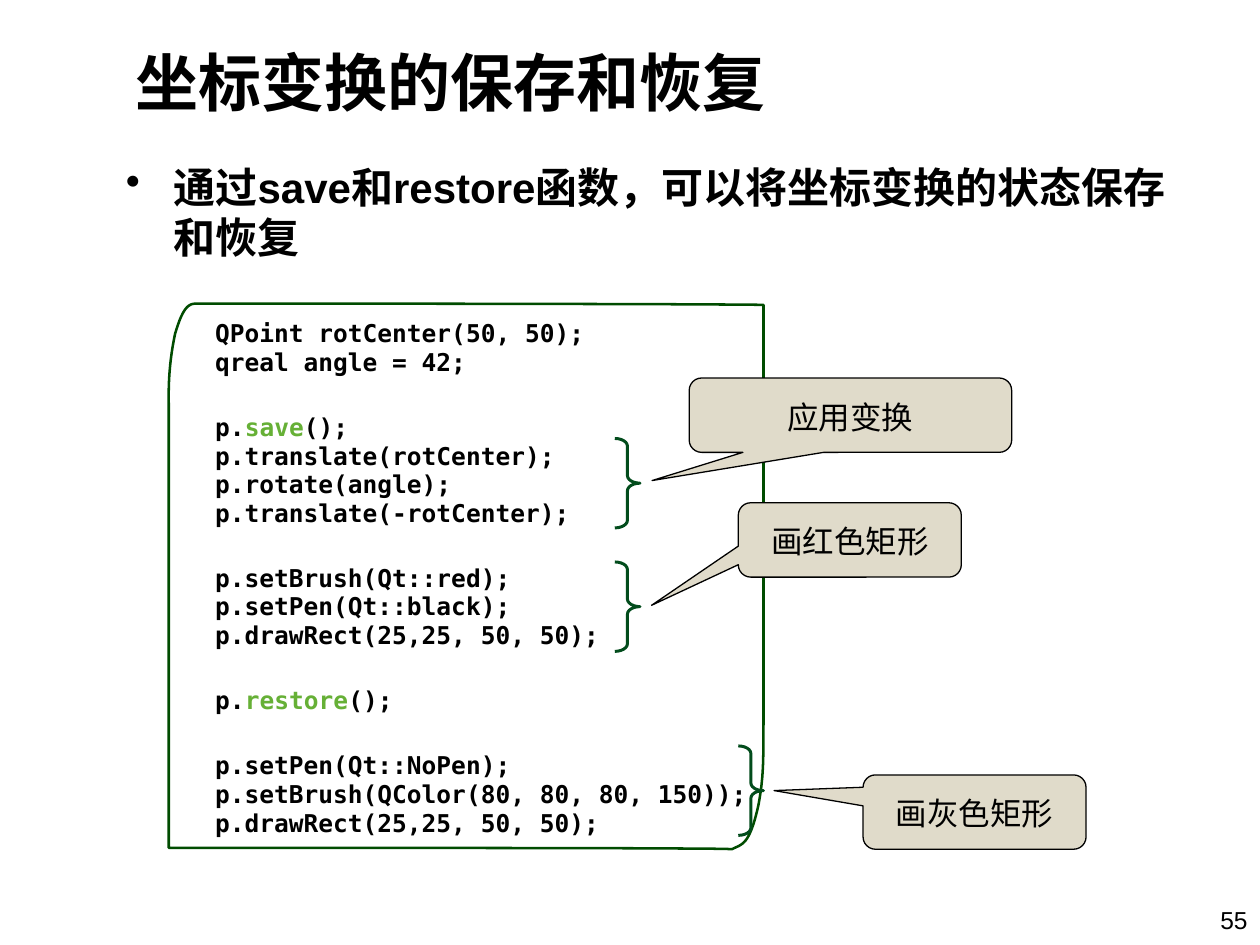
from lxml import etree
from pptx import Presentation
from pptx.dml.color import RGBColor
from pptx.enum.shapes import MSO_SHAPE
from pptx.enum.text import MSO_ANCHOR, PP_ALIGN
from pptx.oxml.ns import qn
from pptx.util import Inches, Pt

BRACE = MSO_SHAPE.RIGHT_BRACE
CALLOUT = MSO_SHAPE.ROUNDED_RECTANGULAR_CALLOUT
TOP, MIDDLE = MSO_ANCHOR.TOP, MSO_ANCHOR.MIDDLE
LEFT, CENTER, RIGHT = PP_ALIGN.LEFT, PP_ALIGN.CENTER, PP_ALIGN.RIGHT

WIDTH, HEIGHT = Inches(10), Inches(7.5)
COL, ROW = WIDTH / 100, HEIGHT / 75
BLACK, KEYWORD, OUTLINE, BRACKET, SAND = "000000", "66B036", "004C00", "024C1C", "E0DBCA"

CODE_BLOCKS = [
    ["QPoint rotCenter(50, 50);", "qreal angle = 42;"],
    ["p.save();", "p.translate(rotCenter);", "p.rotate(angle);", "p.translate(-rotCenter);"],
    ["p.setBrush(Qt::red);", "p.setPen(Qt::black);", "p.drawRect(25,25, 50, 50);"],
    ["p.restore();"],
    ["p.setPen(Qt::NoPen);", "p.setBrush(QColor(80, 80, 80, 150));", "p.drawRect(25,25, 50, 50);"],
]
KEYWORDS = ("save", "restore")

OUTLINE_START = (2.4, 0)
OUTLINE_CURVES = [
    [(2.4, 0), (38.7, 0), (47.3, 0.1)],
    [(47.3, 3.2), (47.3, 30.2), (47.3, 33.4)],
    [(47.3, 36.3), (47.3, 37.7), (46.9, 39.8)],
    [(46.2, 43), (45.6, 42.9), (44.8, 43.3)],
    [(43.9, 43.2), (15, 43.2), (0.1, 43.2)],
    [(0.1, 36.8), (0.1, 8.8), (0.1, 8.1)],
    [(0.1, 7.4), (0, 5.2), (0.6, 2.4)],
    [(1.3, 0), (1.8, 0), (2.4, 0)],
]

NOTES = [
    ("应用变换", (35.5, 10.7), (41.4, 5.9, 25.6), (-0.615, 0.879)),
    ("画红色矩形", (35.5, 20.5), (45.3, 15.8, 17.7), (-0.889, 0.879)),
    ("画灰色矩形", (45.3, 35.1), (55.2, 37.4, 17.7), (-0.899, -0.289)),
]


def color(value):
    return RGBColor.from_string(value)


def place(box):
    left, top, width, height = box
    return round(left * COL), round(top * ROW), round(width * COL), round(height * ROW)


def style(paragraph, size, bold=False, font="Arial", align=LEFT):
    paragraph.alignment = align
    paragraph.font.size = Pt(size)
    paragraph.font.bold = bold
    paragraph.font.name = font
    paragraph.font.color.rgb = color(BLACK)


def add_text(slide, box, text, size, bold=False, align=LEFT, anchor=TOP):
    frame = slide.shapes.add_textbox(*place(box)).text_frame
    frame.word_wrap = True
    frame.vertical_anchor = anchor
    frame.text = text
    style(frame.paragraphs[0], size, bold, align=align)
    return frame.paragraphs[0]


def add_point(slide, box):
    point = add_text(slide, box, "通过save和restore函数，可以将坐标变换的状态保存和恢复", 24, True)
    properties = point._p.get_or_add_pPr()
    properties.set("marL", str(Inches(0.38)))
    properties.set("indent", str(-Inches(0.38)))
    bullet = etree.Element(qn("a:buChar"), char="•")
    properties.insert_element_before(bullet, "a:tabLst", "a:defRPr", "a:extLst")


def bezier(start, first, second, end, steps=16):
    for step in range(1, steps + 1):
        t = step / steps
        u = 1 - t
        yield tuple(
            u**3 * a + 3 * u * u * t * b + 3 * u * t * t * c + t**3 * d
            for a, b, c, d in zip(start, first, second, end)
        )


def add_outline(slide, box):
    points = [OUTLINE_START]
    for curve in OUTLINE_CURVES:
        points += list(bezier(points[-1], *curve))
    corners = [place((box[0] + x, box[1] + y, 0, 0))[:2] for x, y in points]
    builder = slide.shapes.build_freeform(*corners[0])
    builder.add_line_segments(corners[1:], close=True)
    page = builder.convert_to_shape()
    page.shadow.inherit = False
    page.fill.background()
    page.line.color.rgb = color(OUTLINE)
    page.line.width = Pt(1.45)


def add_code(slide, box):
    left, top, width, height = box
    code_box = (left - 1.9, top + 0.8, width + 3.3, height - 1.1)
    frame = slide.shapes.add_textbox(*place(code_box)).text_frame
    frame.word_wrap = True
    paragraph = frame.paragraphs[0]
    for block_index, block in enumerate(CODE_BLOCKS):
        for line_index, line in enumerate(block):
            if block_index or line_index:
                paragraph = frame.add_paragraph()
            if block_index and not line_index:
                paragraph.space_before = Pt(21)
            paragraph.line_spacing = 0.97
            style(paragraph, 14, True, "DejaVu Sans Mono")
            keyword = next((word for word in KEYWORDS if f".{word}(" in line), None)
            if keyword:
                before, after = line.split(keyword)
                paragraph.add_run().text = "    " + before
                call = paragraph.add_run()
                call.text = keyword
                call.font.color.rgb = color(KEYWORD)
                paragraph.add_run().text = after
            else:
                paragraph.add_run().text = "    " + line


def add_brace(slide, box):
    brace = slide.shapes.add_shape(BRACE, *place(box))
    brace.shadow.inherit = False
    brace.adjustments[0] = 0.301
    brace.fill.background()
    brace.line.color.rgb = color(BRACKET)
    brace.line.width = Pt(1.7)


def add_callout(slide, box, text, tip):
    callout = slide.shapes.add_shape(CALLOUT, *place(box))
    callout.shadow.inherit = False
    for index, value in enumerate((*tip, 0.167)):
        callout.adjustments[index] = value
    callout.fill.solid()
    callout.fill.fore_color.rgb = color(SAND)
    callout.line.color.rgb = color(BLACK)
    callout.line.width = Pt(0.75)
    frame = callout.text_frame
    frame.word_wrap = False
    frame.vertical_anchor = MIDDLE
    frame.margin_top = Inches(0.07)
    frame.text = text
    style(frame.paragraphs[0], 18, align=CENTER)


def add_listing(slide, box):
    left, top = box[:2]
    add_outline(slide, box)
    add_code(slide, box)
    for _, (x, y), _, _ in NOTES:
        add_brace(slide, (left + x, top + y, 2, 7.1))
    for text, _, (x, y, width), tip in NOTES:
        add_callout(slide, (left + x, top + y, width, 5.9), text, tip)


def main():
    deck = Presentation()
    deck.slide_width, deck.slide_height = WIDTH, HEIGHT
    slide = deck.slides.add_slide(deck.slide_layouts[6])
    add_text(slide, (9.8, 2.1, 58.3, 8.7), "坐标变换的保存和恢复", 36, True, anchor=MIDDLE)
    add_point(slide, (9, 12.3, 86.6, 9))
    add_text(slide, (83.9, 71.3, 16.1, 3.7), "55", 14, align=RIGHT)
    add_listing(slide, (13.3, 24.1, 47.3, 43.4))
    deck.save("out.pptx")


if __name__ == "__main__":
    main()
